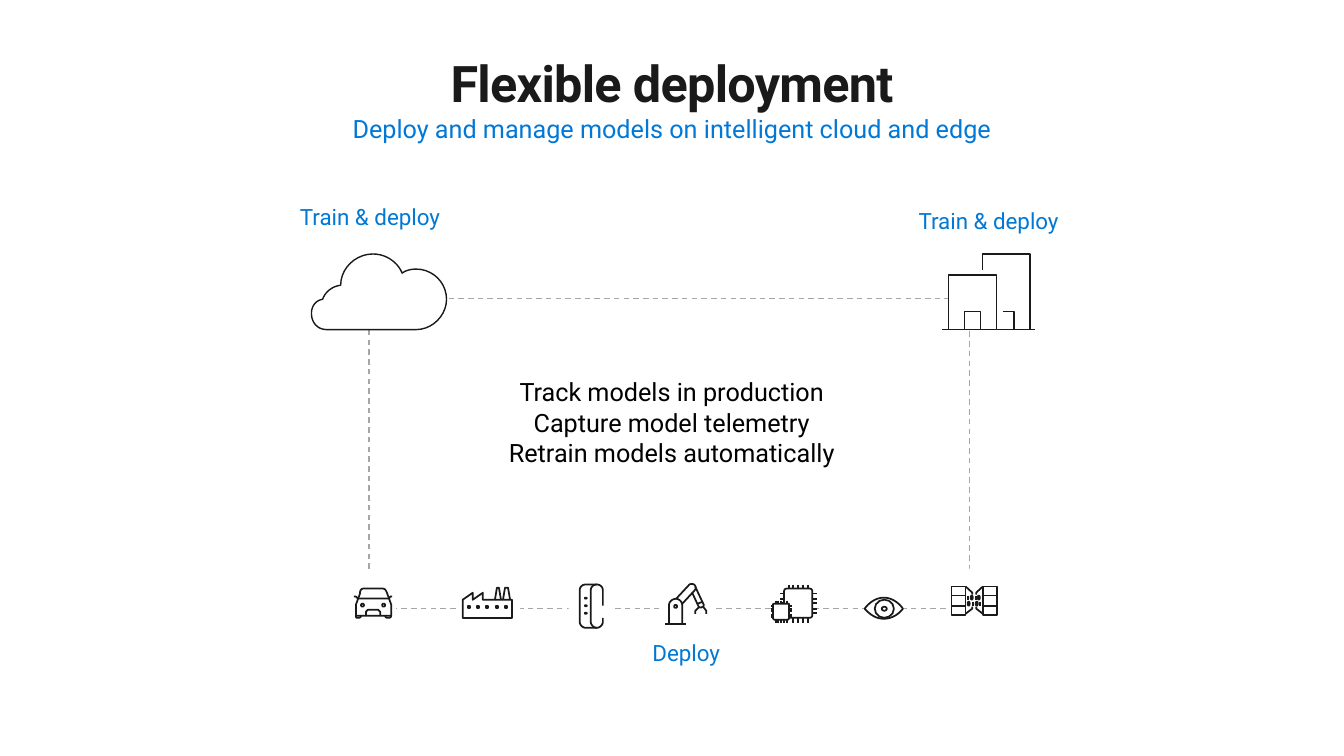
"""Build the flexible deployment slide: cloud and offices linked to edge devices."""
from pptx import Presentation
from pptx.dml.color import RGBColor
from pptx.enum.dml import MSO_LINE
from pptx.enum.shapes import MSO_CONNECTOR, MSO_SHAPE
from pptx.enum.text import MSO_ANCHOR, MSO_AUTO_SIZE, PP_ALIGN
from pptx.oxml.ns import qn
from pptx.util import Cm, Pt
from lxml import etree

RECTANGLE, ELLIPSE = MSO_SHAPE.RECTANGLE, MSO_SHAPE.OVAL
STRAIGHT, DASH = MSO_CONNECTOR.STRAIGHT, MSO_LINE.DASH
CENTER, TOP, NO_FIT = PP_ALIGN.CENTER, MSO_ANCHOR.TOP, MSO_AUTO_SIZE.NONE
WHITE = RGBColor(0xFF, 0xFF, 0xFF)
BLACK = RGBColor(0x00, 0x00, 0x00)
INK = RGBColor(0x1A, 0x1A, 0x1A)
GREY = RGBColor(0xA6, 0xA6, 0xA6)
TITLE_BLUE = RGBColor(0x00, 0x78, 0xD7)
LABEL_BLUE = RGBColor(0x00, 0x78, 0xD4)
FONT = "Roboto"
FINE = 100
CURVE_STEPS = 10


def grid(count):
    """Turn icon grid units, a hundredth of an inch each, into a length."""
    return Cm(count * 2.54 / 100)


def paint(shape, fill, color, weight):
    """Set fill and line, either of which may be None, without shadow."""
    shape.shadow.inherit = False
    if fill is None:
        shape.fill.background()
    else:
        shape.fill.solid()
        shape.fill.fore_color.rgb = fill
    if color is None:
        shape.line.fill.background()
    else:
        shape.line.color.rgb = color
        shape.line.width = Pt(weight)


def block(shapes, kind, left, top, width, height, fill=WHITE, color=INK, weight=1.25):
    """Add a preset shape."""
    shape = shapes.add_shape(kind, left, top, width, height)
    paint(shape, fill, color, weight)
    return shape


def part(shapes, kind, origin, cells, weight=1.25):
    """Add a preset shape given in grid units from the icon's origin."""
    x, y, width, height = cells
    block(shapes, kind, origin[0] + grid(x), origin[1] + grid(y),
          grid(width), grid(height), weight=weight)


def stroke(shapes, origin, start, end, weight=1.25):
    """Add a straight line between two grid points."""
    ends = [base + grid(n) for point in (start, end) for base, n in zip(origin, point)]
    line = shapes.add_connector(STRAIGHT, *ends)
    line.line.color.rgb = INK
    line.line.width = Pt(weight)
    etree.SubElement(line._element.spPr, qn("a:effectLst"))


def bezier(points):
    """List points along a cubic curve, leaving out its start."""
    a, b, c, d = points
    curve = []
    for step in range(1, CURVE_STEPS + 1):
        t = step / CURVE_STEPS
        u = 1 - t
        curve.append(tuple(u**3 * p + 3 * u * u * t * q + 3 * u * t * t * r + t**3 * s
                           for p, q, r, s in zip(a, b, c, d)))
    return curve


def outline(shapes, origin, route, fill=WHITE, weight=1.25):
    """Draw a route of M, L, C and Z commands in grid units."""
    builder, handles = None, []
    for token in route.split():
        if token == "Z":
            builder.add_line_segments([], close=True)
            continue
        if token[0] in "MLC":
            command, token = token[0], token[1:]
        point = tuple(float(n) * FINE for n in token.split(","))
        if command == "M":
            if builder is None:
                builder = shapes.build_freeform(*point, scale=grid(1) / FINE)
            else:
                builder.move_to(*point)
            pen = point
        elif command == "L":
            builder.add_line_segments([point], close=False)
            pen = point
        else:
            handles.append(point)
            if len(handles) == 3:
                builder.add_line_segments(bezier([pen, *handles]), close=False)
                pen, handles = point, []
    paint(builder.convert_to_shape(*origin), fill, INK, weight)


def upright(columns, top, bottom):
    """Give the route of upright pins."""
    return "".join(f" M{x},{top} L{x},{bottom}" for x in columns)


def level(rows, left, right):
    """Give the route of level pins."""
    return "".join(f" M{left},{y} L{right},{y}" for y in rows)


def cloud(shapes, origin):
    """Draw the cloud."""
    outline(shapes, origin, "M104,75 L15,75 C6,75 0,68 0,59 C0,52 4,46 11,45 C14,37 21,32 29,31 "
            "C29,14 44,0 61,0 C73,0 85,7 90,19 C94,16 99,15 104,15 C120,15 134,28 134,45 "
            "C134,61 120,75 104,75 Z", weight=1)


def offices(shapes, origin):
    """Draw the two office buildings."""
    stroke(shapes, origin, (0, 75), (92, 75), 1)
    for wall in ("M40,16 L40,0 L87,0 L87,75 L40,75", "M60,57 L71,57 L71,75"):
        outline(shapes, origin, wall, weight=1)
    for front in ((6, 21, 48, 54), (22, 57, 16, 18)):
        part(shapes, RECTANGLE, origin, front, 1)


def car(shapes, origin):
    """Draw the car."""
    outline(shapes, origin, "M37,16 L37,27 L2,27 L2,16 L6,5 C6,2 7,0 10,0 L28,0 C31,0 32,2 33,5 Z "
            "M2,27 C2,28 2,29 3,29 L5,29 C6,29 7,28 7,27 "
            "M31,27 C31,28 32,29 33,29 L35,29 C36,29 37,28 37,27 "
            "M26,27 L26,23 L24,21 L14,21 L12,23 L12,27 M0,8 L2,8 L4,10 L35,10 L36,8 L38,8")
    for x in (7, 28):
        part(shapes, ELLIPSE, origin, (x, 15, 3, 3))


def factory(shapes, origin):
    """Draw the factory with its chimneys and windows."""
    windows = "".join(f" M{x},18 L{x + 2},18 L{x + 2},20 L{x},20 Z"
                      for x in (5 + 9.25 * i for i in range(5)))
    outline(shapes, origin, "M49,12 L49,30 L0,30 L0,12 L10,5 L10,12 L20,5 L20,12 Z "
            "M38,12 L36,0 L34,0 L32,12 M47,12 L45,0 L42,0 L40,12" + windows)


def wristband(shapes, origin):
    """Draw the wristband."""
    outline(shapes, origin, "M23,21 L23,6 C23,2 20,0 17,0 C14,0 11,2 11,6 L11,37 C11,40 14,43 17,43 "
            "C20,43 23,40 23,37 L23,33 M17,0 L6,0 C3,0 0,2 0,6 L0,37 C0,40 3,43 6,43 L17,43", None)
    for row in range(3):
        part(shapes, ELLIPSE, origin, (5, 13 + 7.5 * row, 2, 1))


def robot_arm(shapes, origin):
    """Draw the robot arm."""
    outline(shapes, origin, "M38,23 L41,27 L41,30 M34,23 L30,27 L30,30 "
            "M11,15 C7,15 4,18 4,21 L4,40 L17,40 L17,21 C17,18 14,15 11,15 Z M0,40 L21,40 "
            "M32,20 L37,18 M17,20 L29,7 C31,5 31,3 29,1 C28,0 25,0 24,1 L11,15 "
            "M33,22 C34,24 36,24 37,23 C38,23 39,21 38,20 L30,3 M33,22 L27,9", None)
    part(shapes, ELLIPSE, origin, (9, 21, 3, 3))


def chips(shapes, origin):
    """Draw the large and the small chip."""
    columns, rows = (18, 22, 27, 32, 37), (9, 14, 18, 24, 28)
    outline(shapes, origin, "M13,18 L13,7 C13,5 14,4 16,4 L38,4 C40,4 41,5 41,7 L41,30 "
            "C41,32 40,33 38,33 L18,33" + upright(columns, 0, 4) + upright(columns[1:], 33, 38)
            + level(rows, 41, 46) + level(rows[:3], 9, 13))
    columns, rows = (5, 7, 10, 13, 16), (21, 24, 26, 30, 32)
    outline(shapes, origin, "M16,35 L4,35 C3,35 2,34 2,33 L2,20 C2,19 3,19 4,19 L16,19 "
            "C17,19 18,19 18,20 L18,33 C18,34 17,35 16,35 Z" + upright(columns, 16, 19)
            + upright(columns, 35, 38) + level(rows, 0, 2) + level(rows, 18, 21))


def eye(shapes, origin):
    """Draw the eye."""
    outline(shapes, origin, "M0,11 C3,14 9,21 19,21 C31,21 38,11 38,11 C38,11 31,0 19,0 C9,0 2,8 0,11 Z")
    for ring in ((10, 2, 19, 18), (17, 9, 5, 4)):
        part(shapes, ELLIPSE, origin, ring)


def satellite(shapes, origin):
    """Draw the panels, their arms and the digits between them."""
    for panel, tip, edge in ((0, 20.5, 14), (31, 24.5, 31)):
        part(shapes, RECTANGLE, origin, (panel, 0, 14, 28))
        for arm in (f"M{tip},20 L{tip},22 L{edge},27", f"M{edge},0 L{tip},6 L{tip},8"):
            outline(shapes, origin, arm)
        for y in (9, 19):
            stroke(shapes, origin, (panel, y), (panel + 14, y))
    for top, ones, zeros in ((9, (16, 24), (19, 26)), (15, (21, 28), (16, 24))):
        outline(shapes, origin, upright(ones, top, top + 4))
        for x in zeros:
            part(shapes, ELLIPSE, origin, (x, top, 2, 4))


def write(frame, lines):
    """Fill a text frame with centred lines of (text, size, colour, bold)."""
    frame.auto_size = NO_FIT
    frame.vertical_anchor = TOP
    for index, (text, size, color, bold) in enumerate(lines):
        paragraph = frame.add_paragraph() if index else frame.paragraphs[0]
        paragraph.text = text
        paragraph.alignment = CENTER
        font = paragraph.font
        font.name, font.size, font.bold = FONT, Pt(size), bold
        font.color.rgb = color


def caption(shapes, lines, left, top, width, height, wrap=False):
    """Add a centred text box."""
    frame = shapes.add_textbox(Cm(left), Cm(top), Cm(width), Cm(height)).text_frame
    frame.word_wrap = wrap
    if not wrap:
        frame.margin_left = frame.margin_right = frame.margin_top = frame.margin_bottom = 0
    write(frame, lines)


def heading(title):
    """Place and write the title with its subtitle line."""
    title.left, title.top, title.width, title.height = Cm(1.63), Cm(1.27), Cm(30.61), Cm(3.07)
    frame = title.text_frame
    frame.margin_left = frame.margin_right = frame.margin_bottom = 0
    frame.margin_top = Cm(0.05)
    write(frame, [("Flexible deployment", 36, INK, True),
                  ("Deploy and manage models on intelligent cloud and edge", 18, TITLE_BLUE, False)])
    frame.paragraphs[0].runs[0]._r.get_or_add_rPr().set("spc", "-50")


def main():
    """Build and save the slide."""
    deck = Presentation()
    deck.slide_width, deck.slide_height = Cm(33.87), Cm(19.05)
    slide = deck.slides.add_slide(deck.slide_layouts[5])
    shapes = slide.shapes
    heading(shapes.title)
    loop = block(shapes, RECTANGLE, Cm(9.3), Cm(7.52), Cm(15.14), Cm(7.82), None, GREY, 1)
    loop.line.dash_style = DASH
    for gap in ((8.84, 14.43, 1.14, 1.9), (11.56, 14.58, 1.55, 1.09), (14.33, 14.43, 1.17, 1.5),
                (16.61, 14.76, 1.4, 1.02), (23.85, 14.33, 0.99, 1.93)):
        block(shapes, RECTANGLE, *map(Cm, gap), color=None)
    for icon, left, top in ((cloud, 7.85, 6.4), (offices, 23.75, 6.4), (car, 8.92, 14.83),
                            (factory, 11.66, 14.81), (wristband, 14.61, 14.73),
                            (robot_arm, 16.76, 14.71), (chips, 19.43, 14.73),
                            (eye, 21.79, 15.06), (satellite, 23.98, 14.78)):
        icon(shapes.add_group_shape().shapes, (Cm(left), Cm(top)))
    for text, left, top, width in (("Train & deploy", 7.42, 5.13, 3.81),
                                   ("Train & deploy", 23.01, 5.21, 3.81), ("Deploy", 16.38, 16.1, 1.83)):
        caption(shapes, [(text, 16, LABEL_BLUE, False)], left, top, width, 0.69)
    duties = ("Track models in production", "Capture model telemetry", "Retrain models automatically")
    caption(shapes, [(duty, 18, BLACK, False) for duty in duties], 11.15, 9.37, 11.56, 2.57, True)
    deck.save("out.pptx")


if __name__ == "__main__":
    main()
